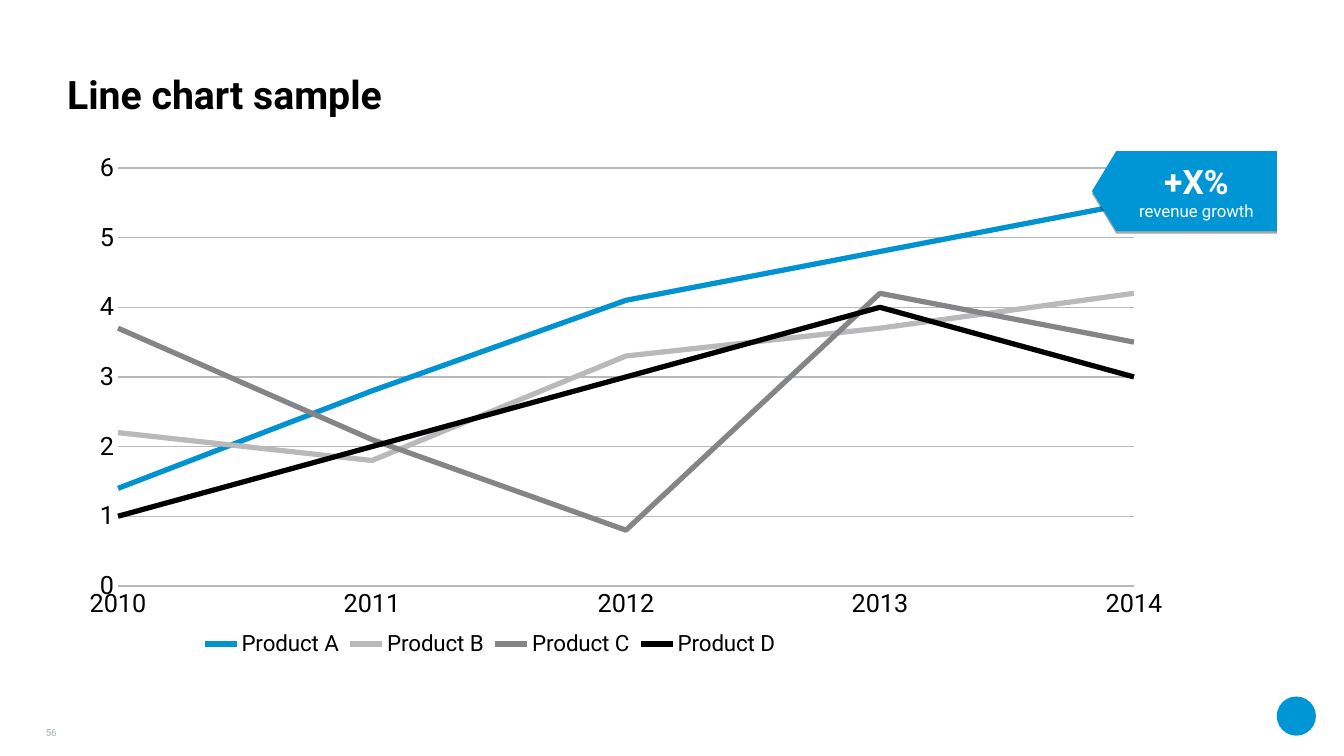
"""Build a slide with a four-product line chart and a growth callout."""
from lxml import etree
from pptx import Presentation
from pptx.chart.data import CategoryChartData
from pptx.dml.color import RGBColor
from pptx.enum import chart as ch, shapes, text
from pptx.oxml import parse_xml
from pptx.oxml.ns import nsdecls, qn
from pptx.util import Pt

TITLE = "Line chart sample"
CALLOUT = [("+X%", 24, True), ("revenue growth", 12, False)]
PAGE = "56"
YEARS = ["2010", "2011", "2012", "2013", "2014"]
SERIES = [
    ("Product A", (1.4, 2.8, 4.1, 4.8, 5.5), "0092D1"),
    ("Product B", (2.2, 1.8, 3.3, 3.7, 4.2), "B9B8BB"),
    ("Product C", (3.7, 2.1, 0.8, 4.2, 3.5), "848587"),
    ("Product D", (1, 2, 3, 4, 3), "000000"),
]
FONT, BLACK, WHITE, BLUE, GRID = "Roboto", "000000", "FFFFFF", "0096D6", "B9B8BB"
CHART_BOX = (48, 102, 798, 378)
PLOT_BOX = (84.3, 120, 725.7, 298.6)
LEGEND_BOX = (138, 446, 424, 28)


def rgb(value):
    return RGBColor.from_string(value)


def set_font(font, size, color=BLACK, bold=False):
    font.name, font.size, font.bold = FONT, Pt(size), bold
    font.color.rgb = rgb(color)


def write(p, words, size, color=BLACK, bold=False, align=text.PP_ALIGN.LEFT):
    p.alignment = align
    r = p.add_run()
    r.text = words
    set_font(r.font, size, color, bold)


def set_frame(tf, anchor, side=0, edge=0):
    tf.word_wrap = True
    tf.auto_size = text.MSO_AUTO_SIZE.NONE
    tf.vertical_anchor = anchor
    tf.margin_left = tf.margin_right = Pt(side)
    tf.margin_top = tf.margin_bottom = Pt(edge)


def place(sp, left, top, width, height):
    sp.left, sp.top, sp.width, sp.height = map(Pt, (left, top, width, height))


def set_layout(parent, index, box, inner=False):
    for old in parent.findall(qn("c:layout")):
        parent.remove(old)
    left, top, width, height = CHART_BOX
    values = ((box[0] - left) / width, (box[1] - top) / height, box[2] / width, box[3] / height)
    layout = parse_xml(f'<c:layout {nsdecls("c")}><c:manualLayout/></c:layout>')
    manual = layout[0]
    items = [("layoutTarget", "inner")] if inner else []
    items += [("xMode", "edge"), ("yMode", "edge")]
    items += [(k, f"{v:.4f}") for k, v in zip("xywh", values)]
    for tag, val in items:
        etree.SubElement(manual, qn(f"c:{tag}")).set("val", val)
    parent.insert(index, layout)


def add_chart(s):
    data = CategoryChartData()
    data.categories = YEARS
    for name, values, _ in SERIES:
        data.add_series(name, values)
    chart = s.shapes.add_chart(ch.XL_CHART_TYPE.LINE, *map(Pt, CHART_BOX), data).chart
    chart.has_title = False
    set_font(chart.font, 18)
    for series, (_, _, color) in zip(chart.plots[0].series, SERIES):
        series.smooth = False
        series.marker.style = ch.XL_MARKER_STYLE.NONE
        series.format.line.color.rgb = rgb(color)
        series.format.line.width = Pt(3.75)
    chart.plots[0].vary_by_categories = False

    years, amounts = chart.category_axis, chart.value_axis
    for axis in (years, amounts):
        axis.major_tick_mark = axis.minor_tick_mark = ch.XL_TICK_MARK.NONE
        set_font(axis.tick_labels.font, 18)
    amounts.minimum_scale, amounts.maximum_scale, amounts.major_unit = 0, 6, 1
    amounts.tick_labels.number_format = "General"
    amounts.tick_labels.number_format_is_linked = False
    amounts.has_major_gridlines = True
    amounts.format.line.fill.background()
    for line in (years.format.line, amounts.major_gridlines.format.line):
        line.color.rgb = rgb(GRID)
        line.width = Pt(1)

    val_ax = amounts._element
    for old in val_ax.findall(qn("c:crossBetween")):
        val_ax.remove(old)
    val_ax.find(qn("c:crosses")).addnext(
        parse_xml(f'<c:crossBetween {nsdecls("c")} val="midCat"/>'))

    chart.has_legend = True
    legend = chart.legend
    legend.position = ch.XL_LEGEND_POSITION.BOTTOM
    legend.include_in_layout = False
    set_font(legend.font, 16)
    set_layout(legend._element, 1, LEGEND_BOX)
    set_layout(val_ax.getparent(), 0, PLOT_BOX, inner=True)


def add_shape(s, kind, box):
    sp = s.shapes.add_shape(kind, *map(Pt, box))
    sp.fill.solid()
    sp.fill.fore_color.rgb = rgb(BLUE)
    sp.line.fill.background()
    sp.shadow.inherit = False
    return sp


def add_callout(s):
    sp = add_shape(s, shapes.MSO_SHAPE.LEFT_ARROW, (780, 108, 132, 57))
    sp.adjustments[0], sp.adjustments[1] = 1, 0.303
    sp._element.spPr.find(qn("a:effectLst")).append(parse_xml(
        f'<a:outerShdw {nsdecls("a")} blurRad="0" dist="{Pt(1.8)}" dir="5400000" rotWithShape="0">'
        f'<a:srgbClr val="{BLACK}"><a:alpha val="35000"/></a:srgbClr></a:outerShdw>'))
    tf = sp.text_frame
    set_frame(tf, text.MSO_ANCHOR.MIDDLE, side=14.4, edge=3.6)
    for i, (words, size, bold) in enumerate(CALLOUT):
        p = tf.add_paragraph() if i else tf.paragraphs[0]
        write(p, words, size, color=WHITE, bold=bold, align=text.PP_ALIGN.CENTER)


def main():
    prs = Presentation()
    prs.slide_width, prs.slide_height = Pt(960), Pt(540)
    s = prs.slides.add_slide(prs.slide_layouts[5])

    add_shape(s, shapes.MSO_SHAPE.OVAL, (912, 497.5, 28, 28))

    title = s.shapes.title
    place(title, 48, 24, 864, 60)
    set_frame(title.text_frame, text.MSO_ANCHOR.BOTTOM)
    p = title.text_frame.paragraphs[0]
    p.line_spacing = 0.9
    write(p, TITLE, 28, bold=True)

    add_chart(s)
    add_callout(s)

    page = s.shapes.add_textbox(*map(Pt, (16.5, 510.5, 24, 17)))
    set_frame(page.text_frame, text.MSO_ANCHOR.BOTTOM)
    write(page.text_frame.paragraphs[0], PAGE, 7, color="A8B2B2", align=text.PP_ALIGN.RIGHT)

    prs.save("out.pptx")


if __name__ == "__main__":
    main()
